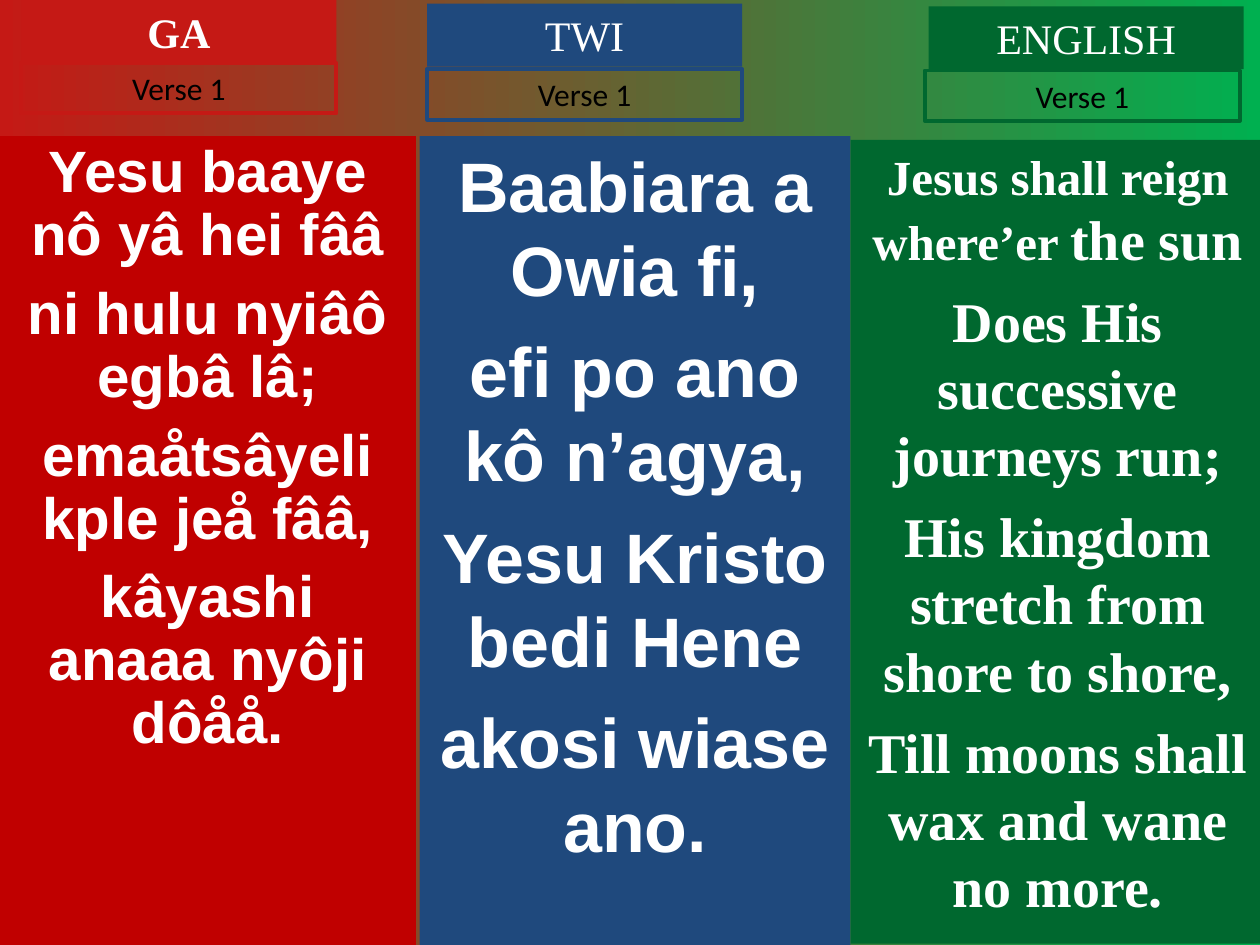
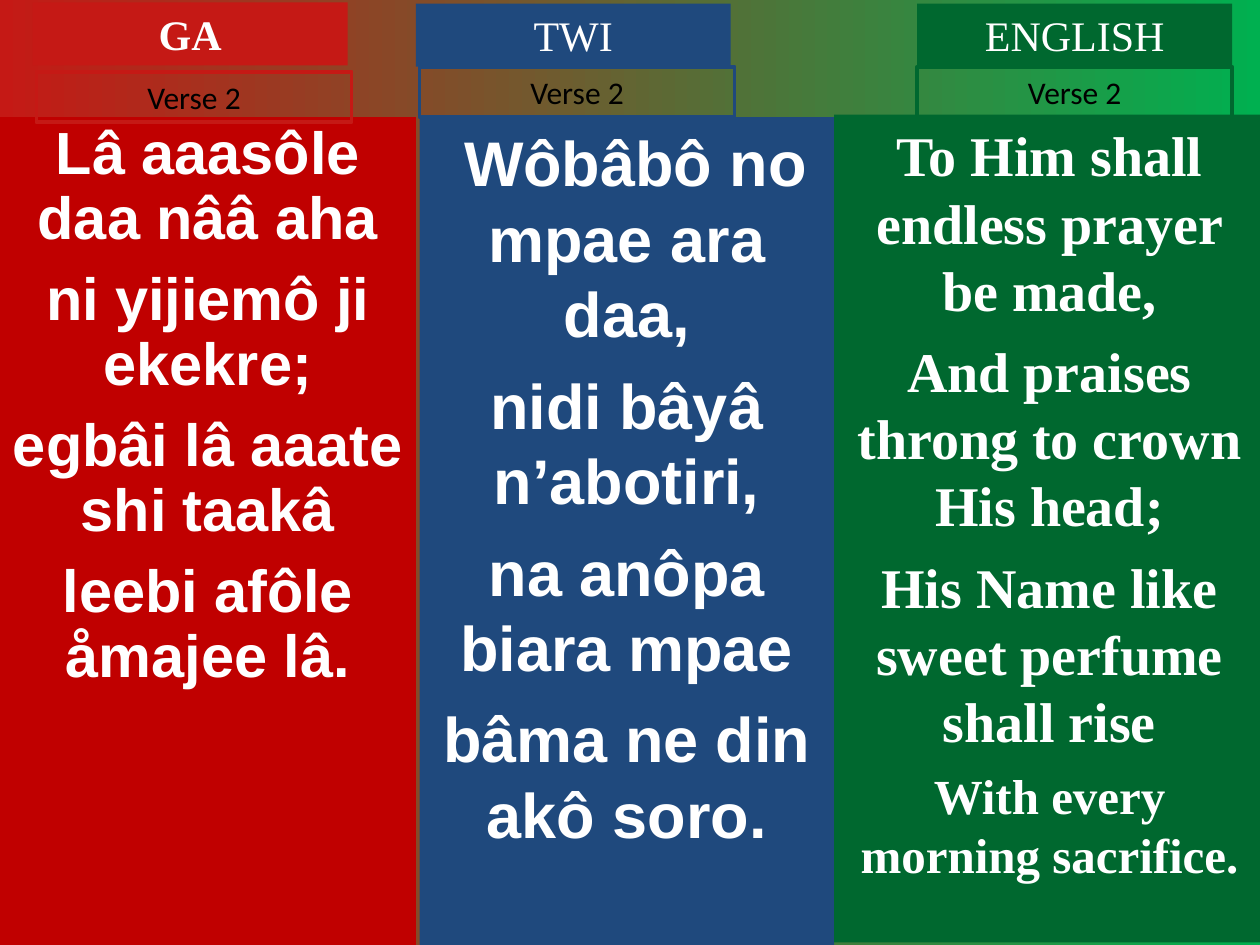
import pptx
import pptx.util
import pptx.dml.color
import pptx.enum.text
import pptx.oxml.xmlchemy
from pptx.util import Inches, Pt
from pptx.dml.color import RGBColor

RED = RGBColor(0xC0, 0x00, 0x00)
BRIGHT_RED = RGBColor(0xC5, 0x19, 0x15)
BLUE = RGBColor(0x1F, 0x49, 0x7D)
GREEN = RGBColor(0x00, 0x68, 0x2F)
BRIGHT_GREEN = RGBColor(0x00, 0xB0, 0x50)
WHITE = RGBColor(0xFF, 0xFF, 0xFF)
BLACK = RGBColor(0x00, 0x00, 0x00)

SANS, SERIF, LABEL_FONT = "Arial", "Times New Roman", "Calibri"
LABEL_WIDTH, HEADER_HEIGHT, VERSE_HEIGHT = 2.5, 0.5, 0.4

# What each language looks like on every slide
LANGUAGES = {
    "GA": {"fill": RED, "accent": BRIGHT_RED, "font": SANS,
           "line_spacing": 0.9, "bold_header": True, "placeholder": 1},
    "TWI": {"fill": BLUE, "accent": BLUE, "font": SANS,
            "line_spacing": 1.0, "bold_header": False, "placeholder": 2},
    "ENGLISH": {"fill": GREEN, "accent": GREEN, "font": SERIF,
                "line_spacing": 1.0, "bold_header": False, "placeholder": None},
}

# Each lyric line is (space before, [(text, size), ...])
VERSES = [
    {
        "label": "Verse 1",
        "GA": {
            "column": (0, 1.08, 3.3, 6.42), "header": (0.17, 0), "verse": (0.17, 0.5),
            "lyrics": [
                (0, [("Yesu baaye nô yâ hei fââ", 33.3)]),
                (9, [("ni hulu nyiâô egbâ lâ;", 33.3)]),
                (9, [("emaåtsâyeli kple jeå fââ,", 33.3)]),
                (9, [("kâyashi anaaa nyôji dôåå.", 33.3)]),
            ],
        },
        "TWI": {
            "column": (3.33, 1.08, 3.42, 6.42), "header": (3.39, 0.03), "verse": (3.39, 0.55),
            "lyrics": [
                (0, [("Baabiara a Owia fi,", 40)]),
                (10, [("efi po ano kô n’agya,", 40)]),
                (10, [("Yesu Kristo bedi Hene", 40)]),
                (10, [("akosi wiase ano.", 40)]),
            ],
        },
        "ENGLISH": {
            "column": (6.75, 1.11, 3.29, 6.38), "header": (7.37, 0.05), "verse": (7.34, 0.56),
            "lyrics": [
                (0, [("Jesus shall reign where’er ", 28), ("the sun", 32)]),
                (8, [("Does His successive journeys run;", 32)]),
                (8, [("His kingdom stretch from shore to shore,", 32)]),
                (8, [("Till moons shall wax and wane no more.", 32)]),
            ],
        },
    },
    {
        "label": "Verse 2",
        "GA": {
            "column": (0, 0.93, 3.3, 6.57), "header": (0.26, 0.02), "verse": (0.29, 0.57),
            "lyrics": [
                (0, [("Lâ aaasôle daa nââ aha", 34)]),
                (10, [("ni yijiemô ji ekekre;", 34)]),
                (10, [("egbâi lâ aaate shi taakâ", 34)]),
                (10, [("leebi afôle åmajee lâ.", 34)]),
            ],
        },
        "TWI": {
            "column": (3.33, 0.93, 3.29, 6.57), "header": (3.3, 0.03), "verse": (3.33, 0.53),
            "lyrics": [
                (0, [(" Wôbâbô no mpae ara daa,", 36)]),
                (9, [("nidi bâyâ n’abotiri,", 36)]),
                (9, [("na anôpa biara mpae", 36)]),
                (9, [("bâma ne din akô soro.", 36)]),
            ],
        },
        "ENGLISH": {
            "column": (6.62, 0.91, 3.42, 6.57), "header": (7.28, 0.03), "verse": (7.28, 0.53),
            "lyrics": [
                (0, [("To Him shall endless prayer be made,", 32)]),
                (8, [("And praises throng to crown His head;", 32)]),
                (8, [("His Name like sweet perfume shall rise", 32)]),
                (7, [("With every morning sacrifice.", 28)]),
            ],
        },
    },
]


def paint_background(master):
    fill = master.background.fill
    fill.gradient()
    fill.gradient_angle = 0
    for stop, color in zip(fill.gradient_stops, (BRIGHT_RED, BRIGHT_GREEN)):
        stop.color.rgb = color


def add_span(para, text, size, font, color, bold):
    span = para.add_run()
    span.text = text
    span.font.size = Pt(size)
    span.font.name = font
    span.font.color.rgb = color
    span.font.bold = bold


def remove_bullet(para):
    properties = para._p.get_or_add_pPr()
    properties.set("marL", "0")
    properties.set("indent", "0")
    properties.append(pptx.oxml.xmlchemy.OxmlElement("a:buNone"))


def add_column(page, style, part):
    """Full-height coloured column with one verse."""
    left, top, width, height = (Inches(value) for value in part["column"])
    if style["placeholder"]:
        box = page.placeholders[style["placeholder"]]
        box.left, box.top, box.width, box.height = left, top, width, height
    else:
        box = page.shapes.add_textbox(left, top, width, height)
    box.fill.solid()
    box.fill.fore_color.rgb = style["fill"]
    frame = box.text_frame
    frame.word_wrap = True
    frame.auto_size = pptx.enum.text.MSO_AUTO_SIZE.NONE
    for index, (space, spans) in enumerate(part["lyrics"]):
        para = frame.add_paragraph() if index else frame.paragraphs[0]
        remove_bullet(para)
        para.alignment = pptx.enum.text.PP_ALIGN.CENTER
        para.line_spacing = style["line_spacing"]
        para.space_before = Pt(space)
        for text, size in spans:
            add_span(para, text, size, style["font"], WHITE, True)


def add_label(page, position, height, text, size, font, color, bold=False):
    """Centred one-line box above a column."""
    left, top = position
    box = page.shapes.add_textbox(Inches(left), Inches(top),
                                  Inches(LABEL_WIDTH), Inches(height))
    frame = box.text_frame
    frame.word_wrap = True
    frame.auto_size = pptx.enum.text.MSO_AUTO_SIZE.SHAPE_TO_FIT_TEXT
    para = frame.paragraphs[0]
    para.alignment = pptx.enum.text.PP_ALIGN.CENTER
    add_span(para, text, size, font, color, bold)
    return box


def add_language(page, name, label, part):
    style = LANGUAGES[name]
    add_column(page, style, part)
    header = add_label(page, part["header"], HEADER_HEIGHT, name, 24, SERIF,
                       WHITE, style["bold_header"])
    header.fill.solid()
    header.fill.fore_color.rgb = style["accent"]
    verse = add_label(page, part["verse"], VERSE_HEIGHT, label, 18, LABEL_FONT, BLACK)
    verse.line.color.rgb = style["accent"]
    verse.line.width = Pt(2.25)


def main():
    deck = pptx.Presentation()
    deck.slide_width, deck.slide_height = Inches(10), Inches(7.5)
    paint_background(deck.slide_master)
    two_content = deck.slide_layouts[3]
    for verse in VERSES:
        page = deck.slides.add_slide(two_content)
        title = page.shapes.title.element
        title.getparent().remove(title)
        for name in LANGUAGES:
            add_language(page, name, verse["label"], verse[name])
    deck.save("out.pptx")


if __name__ == "__main__":
    main()
